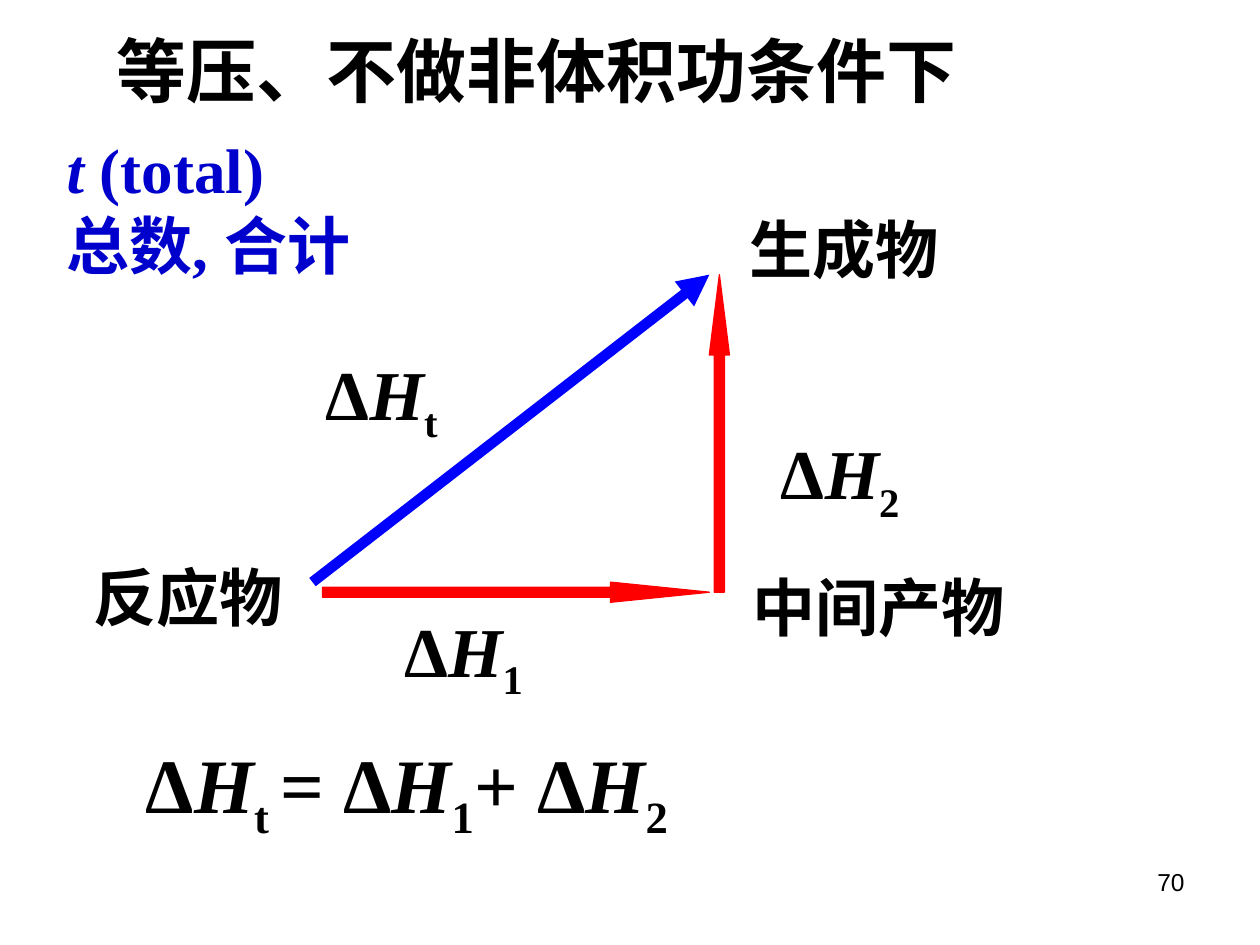
"""Build the enthalpy cycle slide: total change equals the sum of two steps."""
from dataclasses import dataclass

from lxml.etree import SubElement
from pptx import Presentation
from pptx.dml.color import RGBColor
from pptx.enum.shapes import MSO_CONNECTOR, MSO_SHAPE
from pptx.enum.text import MSO_ANCHOR, PP_ALIGN
from pptx.oxml.ns import qn
from pptx.slide import Slide
from pptx.util import Pt

PX = 9144
BLACK = RGBColor(0x00, 0x00, 0x00)
NAVY = RGBColor(0x00, 0x00, 0xCC)
BLUE = RGBColor(0x00, 0x00, 0xFF)
RED = RGBColor(0xFF, 0x00, 0x00)
SERIF, SANS = "Times New Roman", "Arial"


@dataclass(frozen=True)
class Run:
    text: str
    italic: bool = False
    sub: bool = False


@dataclass(frozen=True)
class Label:
    box: tuple[int, int, int, int]
    paragraphs: list[list[Run]]
    size: int
    align: PP_ALIGN = PP_ALIGN.LEFT
    font: str = SERIF
    color: RGBColor = BLACK
    bold: bool = True
    wrap: bool = True


@dataclass(frozen=True)
class BlockArrow:
    box: tuple[int, int, int, int]
    kind: MSO_SHAPE
    head: float
    rotation: int = 0


def delta_h(index: str, prefix: str = "") -> list[Run]:
    return [Run(prefix + "Δ"), Run("H", italic=True), Run(index, sub=True)]


def species(text: str, x: int, y: int, width: int) -> Label:
    return Label((x, y, width, 70), [[Run(text)]], 36, PP_ALIGN.CENTER)


LABELS = [
    Label((83, 17, 764, 77), [[Run("等压、不做非体积功条件下")]], 40, font=SANS),
    Label((43, 99, 323, 130),
          [[Run("t ", italic=True), Run("(total)")], [Run("总数, 合计")]],
          36, color=NAVY),
    species("反应物", 59, 438, 181),
    species("生成物", 579, 162, 181),
    species("中间产物", 571, 446, 252),
    Label((248, 273, 110, 77), [delta_h("t")], 40, PP_ALIGN.CENTER, wrap=False),
    Label((311, 477, 142, 78), [delta_h("1")], 40),
    Label((610, 336, 134, 71), [delta_h("2")], 40),
    Label((106, 580, 819, 94),
          [delta_h("t ") + delta_h("1", "= ") + delta_h("2", "+ ")], 44),
    Label((717, 683, 233, 52), [[Run("70")]], 14, PP_ALIGN.RIGHT, SANS, bold=False),
]
ARROWS = [
    BlockArrow((256, 462, 307, 16), MSO_SHAPE.LEFT_ARROW, 4.91, 180),
    BlockArrow((563, 218, 16, 252), MSO_SHAPE.UP_ARROW, 3.99),
]


def add_label(slide: Slide, label: Label) -> None:
    tf = slide.shapes.add_textbox(*(v * PX for v in label.box)).text_frame
    tf.word_wrap = label.wrap
    tf.vertical_anchor = MSO_ANCHOR.TOP
    for i, runs in enumerate(label.paragraphs):
        p = tf.add_paragraph() if i else tf.paragraphs[0]
        p.alignment = label.align
        for run in runs:
            r = p.add_run()
            r.text = run.text
            r.font.name = label.font
            r.font.size = Pt(label.size)
            r.font.bold = label.bold
            r.font.italic = run.italic
            r.font.color.rgb = label.color
            if run.sub:
                r.font._element.set("baseline", "-25000")


def add_block_arrow(slide: Slide, arrow: BlockArrow) -> None:
    sp = slide.shapes.add_shape(arrow.kind, *(v * PX for v in arrow.box))
    sp.adjustments[0], sp.adjustments[1] = 0.5, arrow.head
    sp.rotation = arrow.rotation
    sp.shadow.inherit = False
    sp.fill.solid()
    sp.fill.fore_color.rgb = RED
    sp.line.color.rgb = RED
    sp.line.width = Pt(0.75)


def add_line_arrow(slide: Slide, x1: int, y1: int, x2: int, y2: int) -> None:
    line = slide.shapes.add_connector(
        MSO_CONNECTOR.STRAIGHT, *(v * PX for v in (x1, y1, x2, y2)))
    line.line.color.rgb = BLUE
    line.line.width = Pt(6)
    SubElement(line.line._get_or_add_ln(), qn("a:tailEnd"), type="triangle")
    SubElement(line._element.spPr, qn("a:effectLst"))


def main() -> None:
    prs = Presentation()
    prs.slide_width, prs.slide_height = 1000 * PX, 750 * PX
    slide = prs.slides.add_slide(prs.slide_layouts[6])
    for arrow in ARROWS:
        add_block_arrow(slide, arrow)
    add_line_arrow(slide, 248, 462, 563, 218)
    for label in LABELS:
        add_label(slide, label)
    prs.save("out.pptx")


if __name__ == "__main__":
    main()
